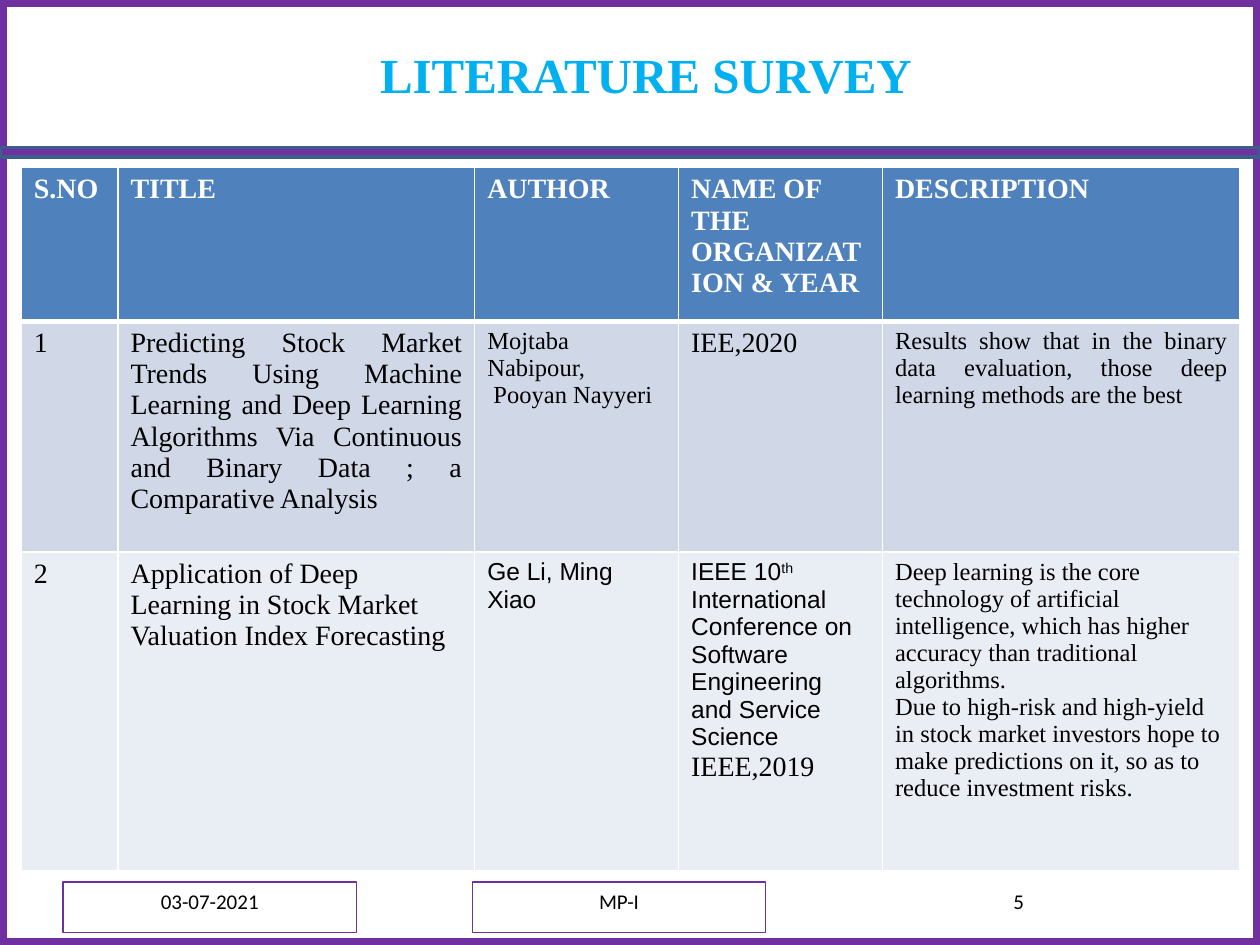
from lxml import etree
from pptx import Presentation
from pptx.dml import color
from pptx.enum import shapes, text
from pptx.oxml import ns
from pptx.util import Cm, Pt

SERIF, SANS, PLAIN = "Times New Roman", "Arial", "Calibri"
PURPLE, WHITE, BLACK = "7030A0", "FFFFFF", "000000"
LEFT, MID, JUST = text.PP_ALIGN.LEFT, text.PP_ALIGN.CENTER, text.PP_ALIGN.JUSTIFY

WIDTHS = [1.95, 7.19, 4.11, 4.11, 7.21]
HEIGHTS = [3.1, 4.65, 6.43]
FILLS = ["4F81BD", "D0D8E8", "E9EDF4"]
HEADS = ["S.NO", "TITLE", "AUTHOR", "NAME OF THE ORGANIZATION & YEAR", "DESCRIPTION"]

# Each cell is a list of paragraphs: wording, size, font, alignment.
# Wording between a pair of ^ is raised.
ROWS = [
    [[(head, 16, SERIF, LEFT)] for head in HEADS],
    [
        [("1", 16, SERIF, JUST)],
        [("Predicting Stock Market Trends Using Machine Learning and Deep Learning "
          "Algorithms Via Continuous and Binary Data ; a Comparative Analysis",
          16, SERIF, JUST)],
        [("Mojtaba Nabipour,", 14, SERIF, LEFT), (" Pooyan Nayyeri", 14, SERIF, LEFT)],
        [("IEE,2020", 16, SERIF, JUST)],
        [("Results show that in the binary data evaluation, those deep learning "
          "methods are the best", 14, SERIF, JUST)],
    ],
    [
        [("2", 16, SERIF, LEFT)],
        [("Application of Deep ", 16, SERIF, LEFT),
         ("Learning in Stock Market Valuation Index Forecasting", 16, SERIF, LEFT)],
        [("Ge Li, Ming Xiao", 14, SANS, LEFT)],
        [("IEEE 10^th^ International Conference on Software Engineering and "
          "Service Science", 14, SANS, LEFT), ("IEEE,2019", 16, SERIF, LEFT)],
        [("Deep learning is the core technology of artificial intelligence, which has "
          "higher accuracy than traditional algorithms.", 14, SERIF, LEFT),
         ("Due to high-risk and high-yield in stock market investors hope to make "
          "predictions on it, so as to reduce investment risks.", 14, SERIF, LEFT)],
    ],
]


def rgb(code):
    return color.RGBColor.from_string(code)


def paint(thing, code):
    thing.fill.solid()
    thing.fill.fore_color.rgb = rgb(code)


def style(run, size, face, code, bold=False):
    font = run.font
    font.size, font.name, font.bold = Pt(size), face, bold
    font.color.rgb = rgb(code)


def block(slide, box, fill=None, line=None, width=0.75):
    """Add a rectangle without shadow; box is left, top, width, height in cm."""
    rect = slide.shapes.add_shape(shapes.MSO_SHAPE.RECTANGLE, *map(Cm, box))
    rect.shadow.inherit = False
    if fill:
        paint(rect, fill)
    else:
        rect.fill.background()
    if line:
        rect.line.color.rgb = rgb(line)
        rect.line.width = Pt(width)
    else:
        rect.line.fill.background()
    return rect


def frame(slide, box):
    left, top, width, _ = box
    block(slide, box, line=PURPLE, width=7.5)
    block(slide, (left, top + 2.97, width, 0.2), PURPLE, "3A5F8C", 2)


def title(slide, box):
    head = slide.shapes.title
    head.left, head.top, head.width, head.height = map(Cm, box)
    paint(head, WHITE)
    body = head.text_frame
    body.text = "LITERATURE SURVEY"
    body.vertical_anchor = text.MSO_ANCHOR.MIDDLE
    body.paragraphs[0].alignment = MID
    style(body.paragraphs[0].runs[0], 28, SERIF, "00B0F0", True)


def edge(cell, side, width):
    """Draw one white border; side is L, R, T or B."""
    line = etree.SubElement(cell._tc.get_or_add_tcPr(), ns.qn(f"a:ln{side}"),
                            w=str(Pt(width)))
    solid = etree.SubElement(line, ns.qn("a:solidFill"))
    etree.SubElement(solid, ns.qn("a:srgbClr"), val=WHITE)


def write(cell, paras, code, bold):
    body = cell.text_frame
    for i, (words, size, face, align) in enumerate(paras):
        para = body.add_paragraph() if i else body.paragraphs[0]
        para.alignment = align
        for j, part in enumerate(words.split("^")):
            run = para.add_run()
            run.text = part
            style(run, size, face, code, bold)
            if j % 2:
                run._r.get_or_add_rPr().set("baseline", "30000")


def survey(slide, box):
    grid = slide.shapes.add_table(len(ROWS), len(HEADS), *map(Cm, box)).table
    for col, width in zip(grid.columns, WIDTHS):
        col.width = Cm(width)
    for r, row in enumerate(ROWS):
        grid.rows[r].height = Cm(HEIGHTS[r])
        top = r == 0
        for c, paras in enumerate(row):
            cell = grid.cell(r, c)
            for side in "LRTB":
                thick = (top and side == "B") or (r == 1 and side == "T")
                edge(cell, side, 3 if thick else 1)
            paint(cell, FILLS[r])
            write(cell, paras, WHITE if top else BLACK, top)


def footer(slide, box):
    left, top, _, height = box
    parts = [("03-07-2021", 0, 5.92, PURPLE), ("MP-I", 8.25, 5.92, PURPLE),
             ("5", 15.24, 8.05, None)]
    for words, shift, width, line in parts:
        note = block(slide, (left + shift, top, width, height), line=line)
        body = note.text_frame
        body.text = words
        body.vertical_anchor = text.MSO_ANCHOR.TOP
        body.paragraphs[0].alignment = MID
        style(body.paragraphs[0].runs[0], 12, PLAIN, BLACK)


def main():
    deck = Presentation()
    deck.slide_width, deck.slide_height = Cm(25.4), Cm(19.05)
    slide = deck.slides.add_slide(deck.slide_layouts[5])
    frame(slide, (0, 0, 25.4, 19.05))
    title(slide, (3.81, 0.43, 18.42, 2.11))
    survey(slide, (0.43, 3.38, 24.57, 14.18))
    footer(slide, (1.27, 17.78, 23.29, 1.02))
    deck.save("out.pptx")


if __name__ == "__main__":
    main()
